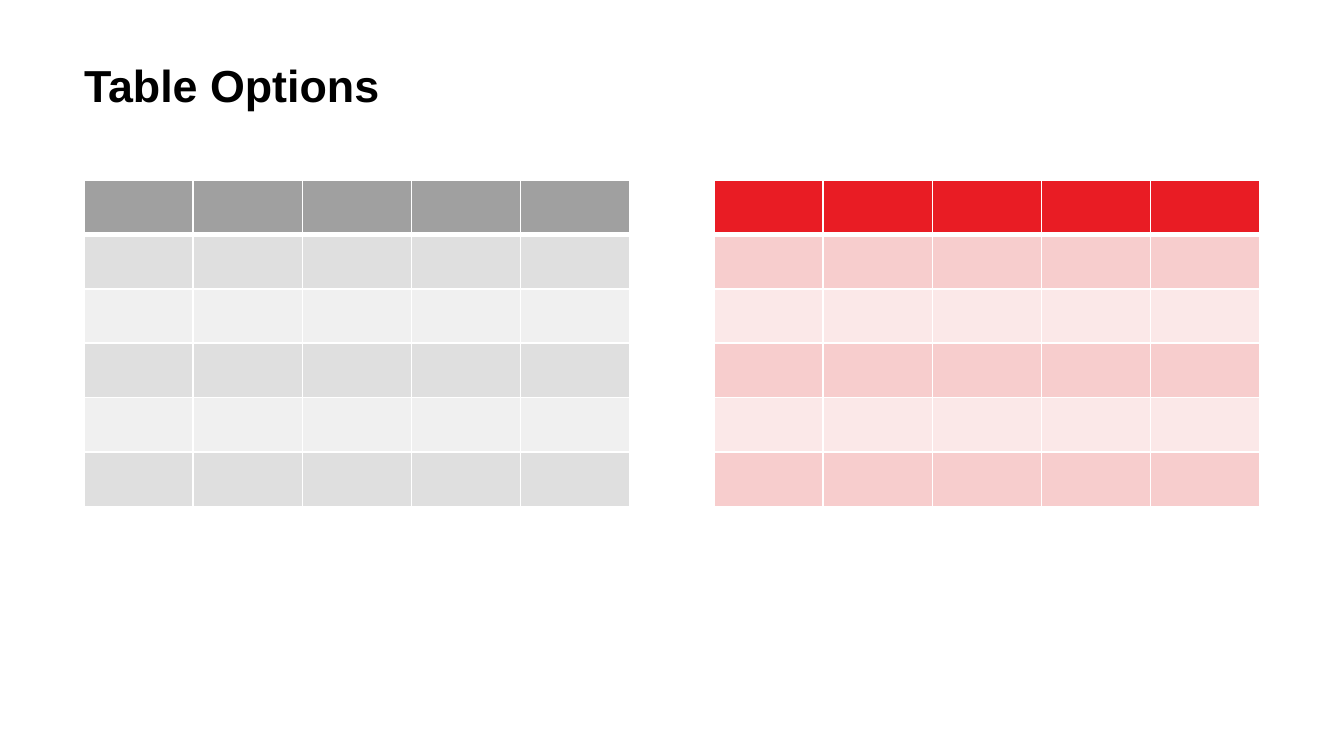
from dataclasses import dataclass

from lxml import etree
from pptx import Presentation
from pptx.dml.color import RGBColor
from pptx.enum.text import MSO_ANCHOR
from pptx.oxml.ns import qn
from pptx.util import Pt

TOP = MSO_ANCHOR.TOP

BLACK = RGBColor(0x00, 0x00, 0x00)
WHITE = RGBColor(0xFF, 0xFF, 0xFF)
GRAY = RGBColor(0xA0, 0xA0, 0xA0)
GRAY_MID = RGBColor(0xDF, 0xDF, 0xDF)
GRAY_PALE = RGBColor(0xF0, 0xF0, 0xF0)
RED = RGBColor(0xE9, 0x1C, 0x24)
RED_MID = RGBColor(0xF7, 0xCD, 0xCD)
RED_PALE = RGBColor(0xFB, 0xE8, 0xE8)

MARGIN = 45
TABLE_TOP = 96.4
ROWS, COLS = 6, 5
COL_W, ROW_H = 58.5, 29.15
THIN, THICK = 1, 3


@dataclass
class BandedTable:
    left: float
    header: RGBColor
    odd: RGBColor
    even: RGBColor

    def row_color(self, row: int) -> RGBColor:
        if row == 0:
            return self.header
        return self.odd if row % 2 else self.even


def set_border(cell, side: str, width: float) -> None:
    tc_pr = cell._tc.get_or_add_tcPr()
    ln = etree.SubElement(tc_pr, qn(f"a:{side}"), w=str(Pt(width)))
    fill = etree.SubElement(ln, qn("a:solidFill"))
    etree.SubElement(fill, qn("a:srgbClr"), val=str(WHITE))


def add_title(slide, text: str) -> None:
    sp = slide.shapes.add_textbox(Pt(MARGIN), Pt(34), Pt(630), Pt(52.5))
    tf = sp.text_frame
    tf.word_wrap = True
    tf.vertical_anchor = TOP
    tf.margin_left = tf.margin_right = tf.margin_top = tf.margin_bottom = 0
    p = tf.paragraphs[0]
    p.text = text
    p.line_spacing = 0.9
    p.font.name = "Arial"
    p.font.size = Pt(24)
    p.font.bold = True
    p.font.color.rgb = BLACK


def add_banded_table(slide, spec: BandedTable) -> None:
    table = slide.shapes.add_table(
        ROWS, COLS, Pt(spec.left), Pt(TABLE_TOP), Pt(COLS * COL_W), Pt(ROWS * ROW_H)
    ).table
    for col in table.columns:
        col.width = Pt(COL_W)
    for i, row in enumerate(table.rows):
        row.height = Pt(ROW_H)
        for cell in row.cells:
            # Borders precede the fill; a thick rule parts header and body
            set_border(cell, "lnL", THIN)
            set_border(cell, "lnR", THIN)
            set_border(cell, "lnT", THICK if i == 1 else THIN)
            set_border(cell, "lnB", THICK if i == 0 else THIN)
            cell.fill.solid()
            cell.fill.fore_color.rgb = spec.row_color(i)


def main() -> None:
    prs = Presentation()
    prs.slide_width, prs.slide_height = Pt(720), Pt(405)
    slide = prs.slides.add_slide(prs.slide_layouts[6])

    # Title
    add_title(slide, "Table Options")

    # Tables aligned to the left and right margins
    right_table = 720 - MARGIN - COLS * COL_W
    for spec in (
        BandedTable(right_table, RED, RED_MID, RED_PALE),
        BandedTable(MARGIN, GRAY, GRAY_MID, GRAY_PALE),
    ):
        add_banded_table(slide, spec)

    prs.save("out.pptx")


if __name__ == "__main__":
    main()
